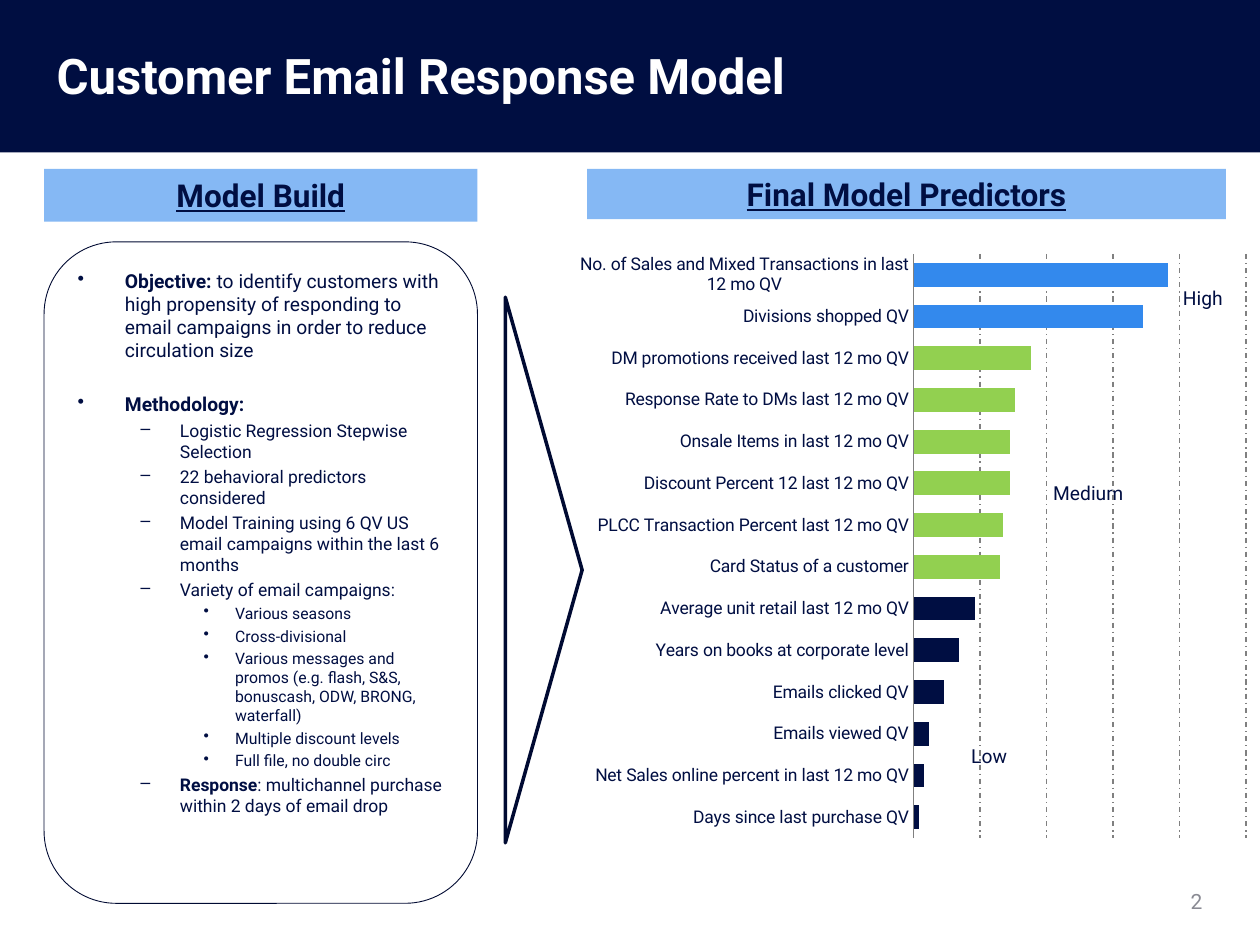
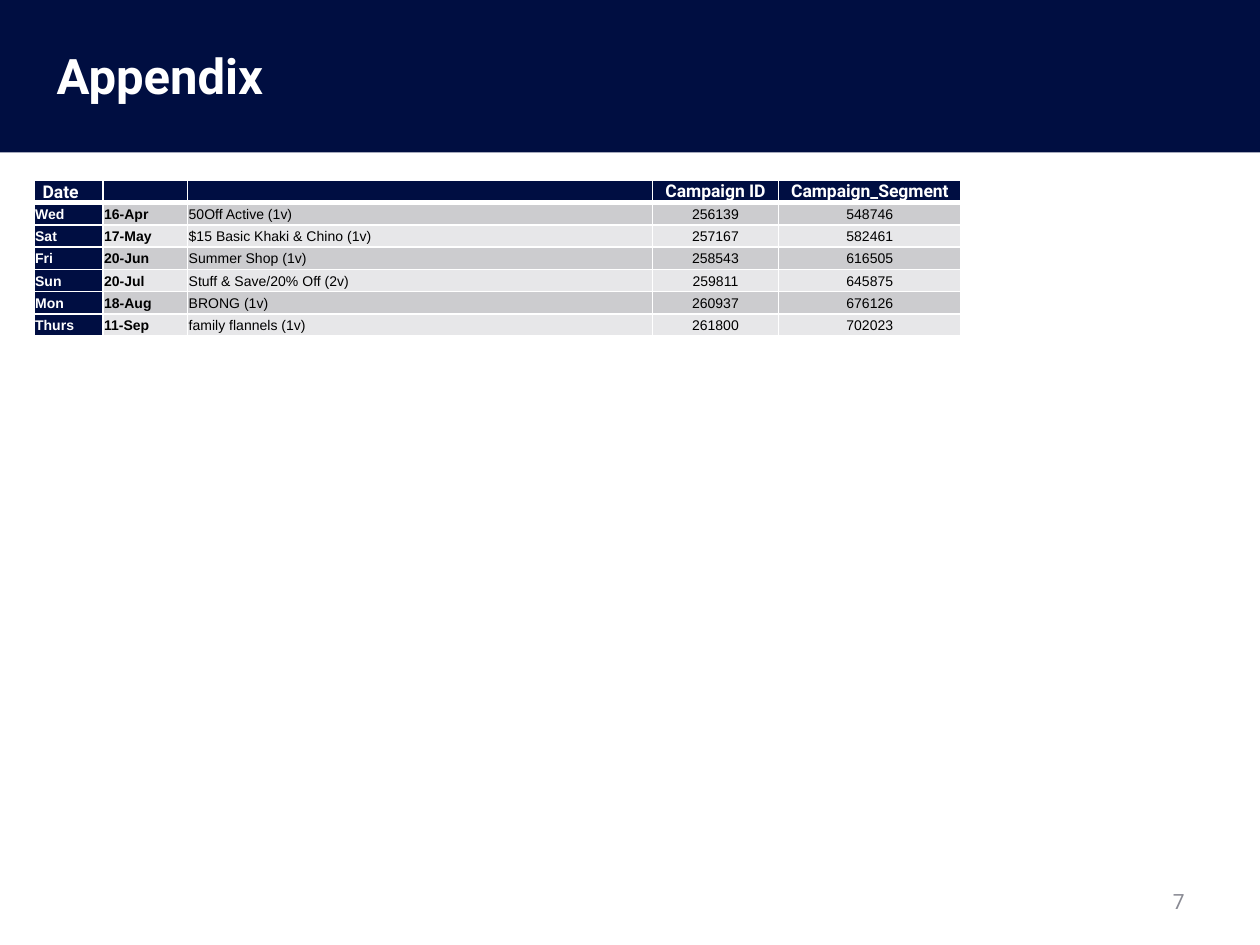
from dataclasses import dataclass

from lxml.etree import SubElement
from pptx import Presentation
from pptx.chart.data import CategoryChartData
from pptx.dml.color import RGBColor
from pptx.enum.chart import XL_CHART_TYPE, XL_TICK_MARK
from pptx.enum.dml import MSO_LINE
from pptx.enum.shapes import MSO_SHAPE
from pptx.enum.text import MSO_ANCHOR, MSO_AUTO_SIZE, PP_ALIGN
from pptx.oxml.ns import qn
from pptx.util import Pt

HUES = {
    "band": "000E41", "navy": "000E42", "edge": "000A32", "sky": "85B8F4",
    "blue": "3389ED", "green": "92D050", "white": "FFFFFF", "black": "000000",
    "gray": "898A93", "grid": "808080", "dark": "CCCCCF", "light": "E7E7E9",
}
FACE = "Roboto"


@dataclass
class Box:
    left: float
    top: float
    width: float
    height: float

    def size(self) -> tuple:
        return Pt(self.left), Pt(self.top), Pt(self.width), Pt(self.height)


@dataclass
class Style:
    size: float
    hue: str = "navy"
    bold: bool = False
    under: bool = False
    face: str = FACE


@dataclass
class Level:
    mark: str
    size: float
    left: float
    hang: float


@dataclass
class Point:
    level: int
    head: str
    text: str
    gap: float = 0


@dataclass
class Label:
    text: str
    box: Box


LEVELS = [Level("•", 11, 27, 27), Level("–", 10, 58.5, 22.5), Level("•", 9, 90, 18)]

POINTS = [
    Point(0, "Objective: ", "to identify customers with high propensity of responding "
          "to email campaigns in order to reduce circulation size"),
    Point(0, "Methodology:", "", 17.7),
    Point(1, "", "Logistic Regression Stepwise Selection"),
    Point(1, "", "22 behavioral predictors considered"),
    Point(1, "", "Model Training using 6 QV US email campaigns within the last 6 months"),
    Point(1, "", "Variety of email campaigns:"),
    Point(2, "", "Various seasons"),
    Point(2, "", "Cross-divisional"),
    Point(2, "", "Various messages and promos (e.g. flash, S&S, bonuscash, ODW, "
          "BRONG, waterfall)"),
    Point(2, "", "Multiple discount levels"),
    Point(2, "", "Full file, no double circ"),
    Point(1, "Response", ": multichannel purchase within 2 days of email drop"),
]

HEADS = [
    Label("Model Build", Box(25.2, 96.5, 247.7, 30.2)),
    Label("Final Model Predictors", Box(335.5, 96.5, 365, 28.8)),
]

RANKS = [
    Label("High", Box(668.9, 159.8, 40.3, 20.9)),
    Label("Medium", Box(594.7, 271.4, 59.8, 20.9)),
    Label("Low", Box(547.9, 421.9, 59.8, 20.9)),
]

# Predictors from weakest to strongest
SCORES = {
    "Days since last purchase QV": 2,
    "Net Sales online percent in last 12 mo QV": 4,
    "Emails viewed QV": 6,
    "Emails clicked QV": 12,
    "Years on books at corporate level": 18,
    "Average unit retail last 12 mo QV": 24,
    "Card Status of a customer": 34,
    "PLCC Transaction Percent last 12 mo QV": 35,
    "Discount Percent 12 last 12 mo QV": 38,
    "Onsale Items in last 12 mo QV": 38,
    "Response Rate to DMs last 12 mo QV": 40,
    "DM promotions received last 12 mo QV": 46,
    "Divisions shopped QV": 90,
    "No. of Sales and Mixed Transactions in last 12 mo QV": 100,
}

MAILS = [
    ("Date", "", "", "Campaign ID", "Campaign_Segment"),
    ("Wed", "16-Apr", "50Off Active (1v)", "256139", "548746"),
    ("Sat", "17-May", "$15 Basic Khaki & Chino (1v)", "257167", "582461"),
    ("Fri", "20-Jun", "Summer Shop (1v)", "258543", "616505"),
    ("Sun", "20-Jul", "Stuff & Save/20% Off (2v)", "259811", "645875"),
    ("Mon", "18-Aug", "BRONG (1v)", "260937", "676126"),
    ("Thurs", "11-Sep", "family flannels (1v)", "261800", "702023"),
]
WIDTHS = [39.4, 48.4, 265.7, 72, 104.4]


def tint(name: str) -> RGBColor:
    return RGBColor.from_string(HUES[name])


def dress(font, style: Style) -> None:
    font.name, font.size = style.face, Pt(style.size)
    font.bold, font.underline = style.bold, style.under
    font.color.rgb = tint(style.hue)


def write(para, text: str, style: Style) -> None:
    run = para.add_run()
    run.text = text
    dress(run.font, style)


def draw(page, kind, box: Box, fill: str = "", edge: str = "", wide: float = 0):
    shape = page.shapes.add_shape(kind, *box.size())
    shape.shadow.inherit = False
    if fill:
        shape.fill.solid()
        shape.fill.fore_color.rgb = tint(fill)
    else:
        shape.fill.background()
    if edge:
        shape.line.color.rgb = tint(edge)
        shape.line.width = Pt(wide)
    else:
        shape.line.fill.background()
    return shape


def note(page, label: Label, style: Style, align=PP_ALIGN.LEFT, anchor=MSO_ANCHOR.TOP) -> None:
    frame = page.shapes.add_textbox(*label.box.size()).text_frame
    frame.word_wrap = True
    frame.vertical_anchor = anchor
    frame.paragraphs[0].alignment = align
    write(frame.paragraphs[0], label.text, style)


def start(deck, name: str, number: str, left: float):
    """Add a page with its band, title and number."""
    page = deck.slides.add_slide(deck.slide_layouts[5])
    band = draw(page, MSO_SHAPE.RECTANGLE, Box(0, -2.2, 720, 89.3), "band")
    page.shapes._spTree.insert(2, band._element)
    title = page.shapes.title
    title.left, title.top, title.width, title.height = Box(25.2, 22.3, 684, 41).size()
    frame = title.text_frame
    frame.auto_size = MSO_AUTO_SIZE.NONE
    frame.vertical_anchor = MSO_ANCHOR.TOP
    frame.paragraphs[0].alignment = PP_ALIGN.LEFT
    write(frame.paragraphs[0], name, Style(28, "white", True))
    note(page, Label(number, Box(left, 500.4, 167.8, 28.8)), Style(12, "gray"),
         PP_ALIGN.RIGHT, MSO_ANCHOR.MIDDLE)
    return page


def add_list(page) -> None:
    panel = draw(page, MSO_SHAPE.ROUNDED_RECTANGLE, Box(25.2, 138.2, 247.7, 378),
                 edge="edge", wide=0.5)
    frame = panel.text_frame
    frame.word_wrap = True
    frame.vertical_anchor = MSO_ANCHOR.TOP
    for i, point in enumerate(POINTS):
        para = frame.add_paragraph() if i else frame.paragraphs[0]
        level = LEVELS[point.level]
        para.level = point.level
        para.alignment = PP_ALIGN.LEFT
        para.space_before = Pt(point.gap or round(0.23 * level.size, 1))
        props = para._p.get_or_add_pPr()
        props.set("marL", str(Pt(level.left)))
        props.set("indent", str(-Pt(level.hang)))
        SubElement(props, qn("a:buChar"), char=level.mark)
        for text, bold in ((point.head, True), (point.text, False)):
            if text:
                write(para, text, Style(level.size, bold=bold))


def place(chart, **area: float) -> None:
    """Fix the inner plot area as shares of the chart."""
    plot = chart._chartSpace.chart.plotArea
    for old in plot.findall(qn("c:layout")):
        plot.remove(old)
    outer = SubElement(plot, qn("c:layout"))
    plot.insert(0, outer)
    inner = SubElement(outer, qn("c:manualLayout"))
    SubElement(inner, qn("c:layoutTarget"), val="inner")
    for key in ("xMode", "yMode"):
        SubElement(inner, qn("c:" + key), val="edge")
    for key, share in area.items():
        SubElement(inner, qn("c:" + key), val=str(share))


def add_bars(page) -> None:
    data = CategoryChartData()
    data.categories = list(SCORES)
    data.add_series("Series 1", list(SCORES.values()))
    box = Box(324, 138.2, 396, 347.8)
    chart = page.shapes.add_chart(XL_CHART_TYPE.BAR_CLUSTERED, *box.size(), data).chart
    chart.has_legend = chart.has_title = False
    dress(chart.font, Style(10))
    place(chart, x=0.5, y=0.02, w=0.48, h=0.96)

    # Axes and grid
    names, scale = chart.category_axis, chart.value_axis
    names.major_tick_mark = names.minor_tick_mark = XL_TICK_MARK.NONE
    names.has_major_gridlines = False
    names.format.line.color.rgb = tint("grid")
    scale.visible = False
    scale.minimum_scale, scale.maximum_scale, scale.major_unit = 0, 130.5, 26.1
    scale.has_major_gridlines = True
    grid = scale.major_gridlines.format.line
    grid.color.rgb = tint("grid")
    grid.width = Pt(0.75)
    grid.dash_style = MSO_LINE.DASH_DOT

    # Bars coloured by strength
    plot = chart.plots[0]
    plot.gap_width, plot.overlap, plot.vary_by_categories = 75, -25, False
    bars = plot.series[0]
    bars.format.fill.solid()
    bars.format.fill.fore_color.rgb = tint("navy")
    for i, score in enumerate(SCORES.values()):
        if score > 30:
            fill = bars.points[i].format.fill
            fill.solid()
            fill.fore_color.rgb = tint("blue" if score > 80 else "green")


def border(cell, base: float) -> None:
    props = cell._tc.get_or_add_tcPr()
    for side, wide in zip("LRTB", (1, 1, 1, base)):
        line = SubElement(props, qn("a:ln" + side), w=str(Pt(wide)))
        fill = SubElement(line, qn("a:solidFill"))
        SubElement(fill, qn("a:srgbClr"), val=HUES["white"])


def fill_cell(cell, row: int, col: int, text: str) -> None:
    top = row == 0
    border(cell, 3 if top else 1)
    cell.fill.solid()
    shade = "navy" if top or col == 0 else "dark" if row % 2 else "light"
    cell.fill.fore_color.rgb = tint(shade)
    cell.margin_left = cell.margin_right = Pt(5 if top else 0.7)
    cell.margin_top, cell.margin_bottom = Pt(0 if top else 0.7), 0
    cell.vertical_anchor = MSO_ANCHOR.BOTTOM if top and col == 0 else MSO_ANCHOR.MIDDLE
    para = cell.text_frame.paragraphs[0]
    para.alignment = PP_ALIGN.CENTER if col > 2 else PP_ALIGN.LEFT
    if text:
        hue = "white" if shade == "navy" else "black"
        write(para, text, Style(10 if top else 8, hue, top or col < 2,
                                face=FACE if top else "Arial"))
    else:
        SubElement(para._p, qn("a:endParaRPr"), sz="1000")


def add_mails(page) -> None:
    box = Box(19.4, 103, sum(WIDTHS), 89.25)
    table = page.shapes.add_table(len(MAILS), len(WIDTHS), *box.size()).table
    for col, wide in zip(table.columns, WIDTHS):
        col.width = Pt(wide)
    for r, texts in enumerate(MAILS):
        table.rows[r].height = Pt(box.height / len(MAILS))
        for c, text in enumerate(texts):
            fill_cell(table.cell(r, c), r, c, text)


def main() -> None:
    deck = Presentation()
    deck.slide_width, deck.slide_height = Pt(720), Pt(540)

    # Response model
    page = start(deck, "Customer Email Response Model", "2", 526.3)
    add_list(page)
    for head in HEADS:
        bar = draw(page, MSO_SHAPE.RECTANGLE, head.box, "sky")
        para = bar.text_frame.paragraphs[0]
        para.alignment = PP_ALIGN.CENTER
        write(para, head.text, Style(18, bold=True, under=True))
    arrow = draw(page, MSO_SHAPE.ISOSCELES_TRIANGLE, Box(154.8, 303.8, 311.8, 43.9),
                 edge="edge", wide=2)
    arrow.rotation = 90
    for rank in RANKS:
        note(page, rank, Style(11))
    add_bars(page)

    # Appendix
    add_mails(start(deck, "Appendix", "7", 516.2))
    deck.save("out.pptx")


if __name__ == "__main__":
    main()
